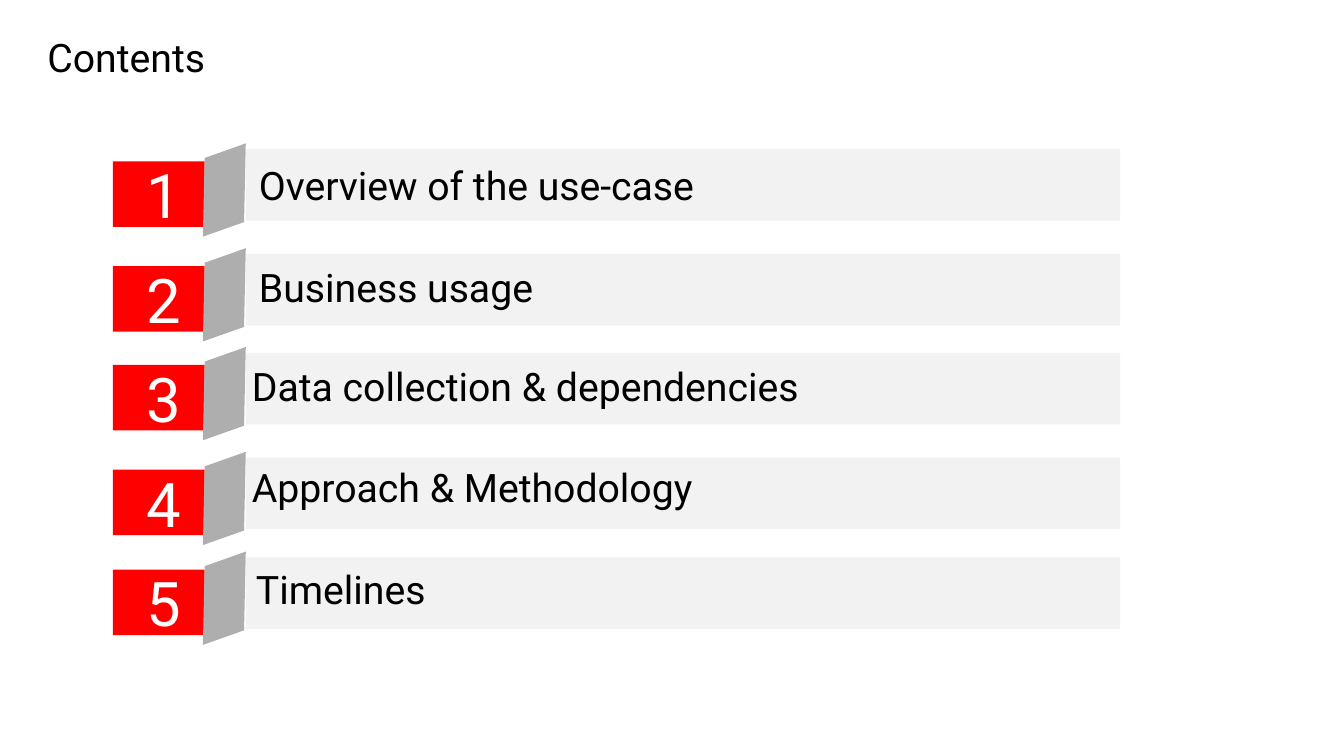
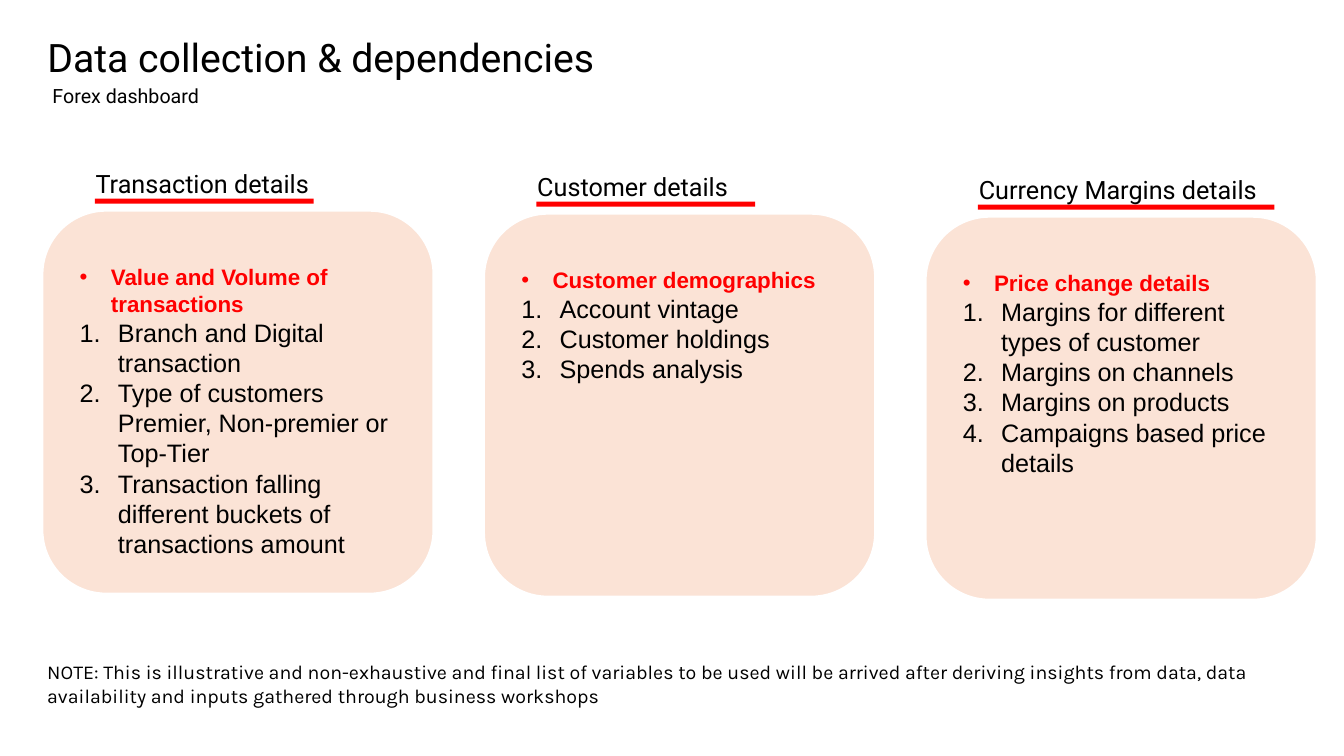
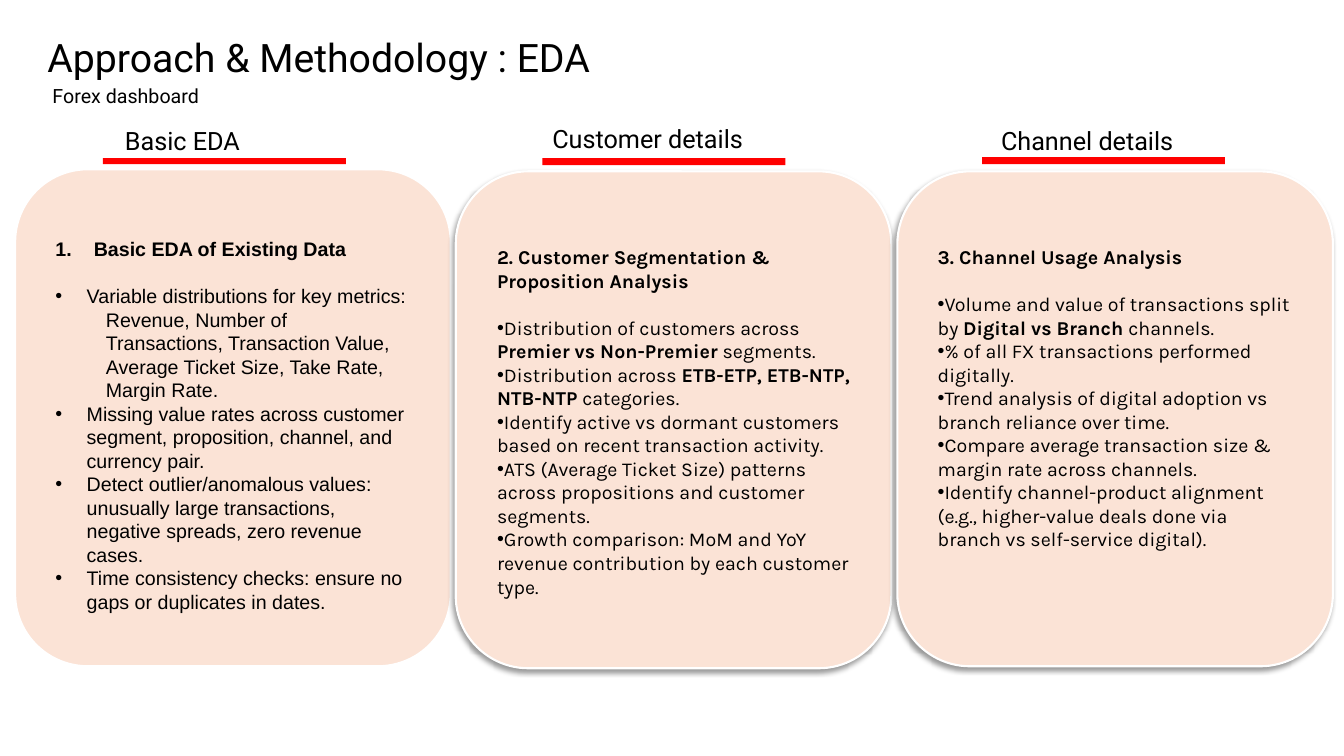
import pptx
import pptx.util
import pptx.dml.color
import pptx.enum.shapes
import pptx.enum.text
import pptx.oxml
import pptx.oxml.ns

Inches, Pt = pptx.util.Inches, pptx.util.Pt
SHAPE = pptx.enum.shapes.MSO_SHAPE

COLORS = {
    "ink": "000000", "white": "FFFFFF", "red": "FF0000",
    "fold": "AEAEAE", "bar": "F2F2F2", "panel": "FBE3D6",
}
SUBTITLE = "Forex dashboard"
COMPARISON, TITLE_ONLY = 4, 5

# text, top of the red number block, left and top of the label
CONTENTS = [
    ("Overview of the use-case", 1.60, 2.47, 1.55),
    ("Business usage", 2.64, 2.47, 2.56),
    ("Data collection & dependencies", 3.62, 2.40, 3.55),
    ("Approach & Methodology", 4.66, 2.40, 4.55),
    ("Timelines", 5.65, 2.44, 5.56),
]

# heading, width of its rule, list title, numbered items
DATA_GROUPS = [
    ("Transaction details", 2.17, "Value and Volume of transactions", [
        "Branch and Digital transaction",
        "Type of customers Premier, Non-premier or Top-Tier",
        "Transaction falling different buckets of transactions amount"]),
    ("Customer details", 2.17, "Customer demographics", [
        "Account vintage", "Customer holdings", "Spends analysis"]),
    ("Currency Margins details", 2.94, "Price change details", [
        "Margins for different types of customer", "Margins on channels",
        "Margins on products", "Campaigns based price details"]),
]
NOTE = ("NOTE: This is illustrative and non-exhaustive and final list of variables "
        "to be used will be arrived after deriving insights from data, data "
        "availability and inputs gathered through business workshops")

# Paragraph styles: margin, first-line indent, bullet, size, font, colour, bold, line gap after
STYLES = {
    "red point": (0.31, -0.31, "•", 16, "Arial", "red", True, False),
    "number": (0.38, -0.38, "1.", 18, "Arial", "ink", False, False),
    "numbered head": (0.38, -0.38, "1.", 14, "Arial", "ink", True, True),
    "point": (0.31, -0.31, "•", 14, "Arial", "ink", False, False),
    "detail": (0.5, 0, None, 14, "Arial", "ink", False, False),
    "head": (0, 0, None, 14, "Karla", "ink", True, True),
    "tight point": (0, 0, "•", 14, "Karla", "ink", False, False),
}

# Words between asterisks are bold
EDA_COLUMNS = [
    {"heading": "Basic EDA", "heading_at": (1.14, 1.19), "rule": (1.02, 1.57, 2.41, 0.06),
     "panel": (0.15, 1.68, 4.32, 4.93), "list": (0.45, 2.30, 3.71, 3.69), "shadow": False,
     "items": [
         ("numbered head", "Basic EDA of Existing Data"),
         ("point", "Variable distributions for key metrics:"),
         ("detail", "Revenue, Number of Transactions, Transaction Value, "
                    "Average Ticket Size, Take Rate, Margin Rate."),
         ("point", "Missing value rates across customer segment, proposition, "
                   "channel, and currency pair."),
         ("point", "Detect outlier/anomalous values: unusually large transactions, "
                   "negative spreads, zero revenue cases."),
         ("point", "Time consistency checks: ensure no gaps or duplicates in dates."),
     ]},
    {"heading": "Customer details", "heading_at": (5.38, 1.17), "rule": (5.38, 1.57, 2.41, 0.07),
     "panel": (4.52, 1.70, 4.32, 4.93), "list": (4.83, 2.38, 3.71, 4.11), "shadow": True,
     "items": [("head", "2. Customer Segmentation & Proposition Analysis")] + [
         ("tight point", text) for text in (
             "Distribution of customers across *Premier vs Non-Premier* segments.",
             "Distribution across *ETB-ETP, ETB-NTP, NTB-NTP* categories.",
             "Identify active vs dormant customers based on recent transaction activity.",
             "ATS (Average Ticket Size) patterns across propositions and customer segments.",
             "Growth comparison: MoM and YoY revenue contribution by each customer type.")]},
    {"heading": "Channel details", "heading_at": (9.83, 1.19), "rule": (9.74, 1.56, 2.41, 0.07),
     "panel": (8.90, 1.70, 4.32, 4.91), "list": (9.20, 2.38, 3.71, 3.87), "shadow": True,
     "items": [("head", "3. Channel Usage Analysis")] + [
         ("tight point", text) for text in (
             "Volume and value of transactions split by *Digital vs Branch* channels.",
             "% of all FX transactions performed digitally.",
             "Trend analysis of digital adoption vs branch reliance over time.",
             "Compare average transaction size & margin rate across channels.",
             "Identify channel-product alignment (e.g., higher-value deals done via "
             "branch vs self-service digital).")]},
]


def color(name):
    return pptx.dml.color.RGBColor.from_string(COLORS[name])


def add_block(page, kind, at, fill, line=None):
    block = page.shapes.add_shape(kind, *map(Inches, at))
    block.shadow.inherit = False
    block.fill.solid()
    block.fill.fore_color.rgb = color(fill)
    if line:
        block.line.color.rgb = color(line)
        block.line.width = Pt(1.5)
    else:
        block.line.fill.background()
    return block


def drop_shadow(block):
    effects = block.element.spPr.find(pptx.oxml.ns.qn("a:effectLst"))
    effects.append(pptx.oxml.parse_xml(
        f'<a:outerShdw {pptx.oxml.ns.nsdecls("a")} blurRad="{Pt(4)}" dist="{Pt(3)}" '
        'dir="8100000" algn="tr" rotWithShape="0"><a:srgbClr val="000000">'
        '<a:alpha val="40000"/></a:srgbClr></a:outerShdw>'))


def set_bullet(para, margin, indent, bullet):
    tag, attributes = {
        None: ("a:buNone", {}),
        "•": ("a:buChar", {"char": "•"}),
        "1.": ("a:buAutoNum", {"type": "arabicPeriod"}),
    }[bullet]
    properties = para._p.get_or_add_pPr()
    properties.set("marL", str(Inches(margin)))
    properties.set("indent", str(Inches(indent)))
    if bullet == "•":
        font = properties.makeelement(pptx.oxml.ns.qn("a:buFont"), {"typeface": "Arial"})
        properties.append(font)
    properties.append(properties.makeelement(pptx.oxml.ns.qn(tag), attributes))


def place(box, at):
    """Position a box and bring it in front of what is already on the page."""
    box.left, box.top, box.width, box.height = map(Inches, at)
    box.element.getparent().append(box.element)
    frame = box.text_frame
    frame.word_wrap = True
    frame.auto_size = pptx.enum.text.MSO_AUTO_SIZE.NONE
    frame.vertical_anchor = pptx.enum.text.MSO_ANCHOR.TOP
    frame.margin_left = frame.margin_right = Inches(0.1)
    frame.margin_top = frame.margin_bottom = Inches(0.05)


def format_span(span, size, font, ink, bold):
    span.font.size = Pt(size)
    span.font.name = font
    span.font.color.rgb = color(ink)
    span.font.bold = bold


def write_line(box, at, text, size, font="Roboto", ink="ink"):
    place(box, at)
    box.text_frame.text = text
    para = box.text_frame.paragraphs[0]
    para.alignment = pptx.enum.text.PP_ALIGN.LEFT
    para.space_before = Pt(0)
    set_bullet(para, 0, 0, None)
    format_span(para.runs[0], size, font, ink, False)


def add_line(page, at, text, size, font="Roboto", ink="ink"):
    write_line(page.shapes.add_textbox(0, 0, 0, 0), at, text, size, font, ink)


def write_list(box, at, items):
    place(box, at)
    frame = box.text_frame
    for index, (style, text) in enumerate(items):
        margin, indent, bullet, size, font, ink, bold, gap = STYLES[style]
        para = frame.paragraphs[0] if index == 0 else frame.add_paragraph()
        para.alignment = pptx.enum.text.PP_ALIGN.LEFT
        para.line_spacing = Pt(size * 1.2)
        para.space_before = Pt(0)
        para.space_after = Pt(size * 1.2 if gap else 0)
        set_bullet(para, margin, indent, bullet)
        for part, words in enumerate(text.split("*")):
            span = para.add_run()
            span.text = words
            format_span(span, size, font, ink, bold or part % 2 == 1)


def add_page(deck, layout, title):
    page = deck.slides.add_slide(deck.slide_layouts[layout])
    write_line(page.shapes.title, (0.37, 0.28, 6.11, 0.57), title, 28)
    if layout == COMPARISON:
        write_line(page.placeholders[1], (0.42, 0.78, 6.67, 0.34), SUBTITLE, 14)
    return page


def add_column(page, body, column):
    panel = add_block(page, SHAPE.ROUNDED_RECTANGLE, column["panel"], "panel", "white")
    if column["shadow"]:
        drop_shadow(panel)
    add_block(page, SHAPE.RECTANGLE, column["rule"], "red")
    add_line(page, (*column["heading_at"], 3.02, 0.4), column["heading"], 18)
    write_list(body, column["list"], column["items"])


def build_contents(deck):
    page = add_page(deck, TITLE_ONLY, "Contents")
    for number, (text, top, label_left, label_top) in enumerate(CONTENTS, 1):
        add_block(page, SHAPE.RECTANGLE, (1.12, top, 0.91, 0.65), "red")
        fold = add_block(page, SHAPE.PARALLELOGRAM, (1.87, top - 0.08, 0.71, 0.73), "fold")
        fold.adjustments[0] = 0.39
        fold.rotation = 160.5
        add_block(page, SHAPE.RECTANGLE, (2.44, top - 0.12, 8.67, 0.71), "bar")
        add_line(page, (1.36, top - 0.09, 0.6, 0.84), str(number), 44, ink="white")
        add_line(page, (label_left, label_top, 6.11, 0.57), text, 28)


def build_data(deck):
    page = add_page(deck, COMPARISON, "Data collection & dependencies")
    for index, (heading, rule_width, list_title, items) in enumerate(DATA_GROUPS):
        left, top = 0.42 + 4.38 * index, 2.09 + 0.03 * index
        add_column(page, page.placeholders[index + 2], {
            "heading": heading, "heading_at": (left + 0.43, top - 0.47),
            "rule": (left + 0.52, top - 0.12, rule_width, 0.05),
            "panel": (left, top, 3.88, 3.8), "shadow": False,
            "list": (left + 0.27, top + 0.47, 3.34, 3.3),
            "items": [("red point", list_title)] + [("number", item) for item in items],
        })
    add_line(page, (0.37, 6.5, 12.37, 0.57), NOTE, 14, "Karla")


def build_eda(deck):
    page = add_page(deck, COMPARISON, "Approach & Methodology : EDA")
    for index, column in enumerate(EDA_COLUMNS):
        add_column(page, page.placeholders[index + 2], column)


def main():
    deck = pptx.Presentation()
    deck.slide_width, deck.slide_height = Inches(13.33), Inches(7.5)
    build_contents(deck)
    build_data(deck)
    build_eda(deck)
    deck.save("out.pptx")


if __name__ == "__main__":
    main()
